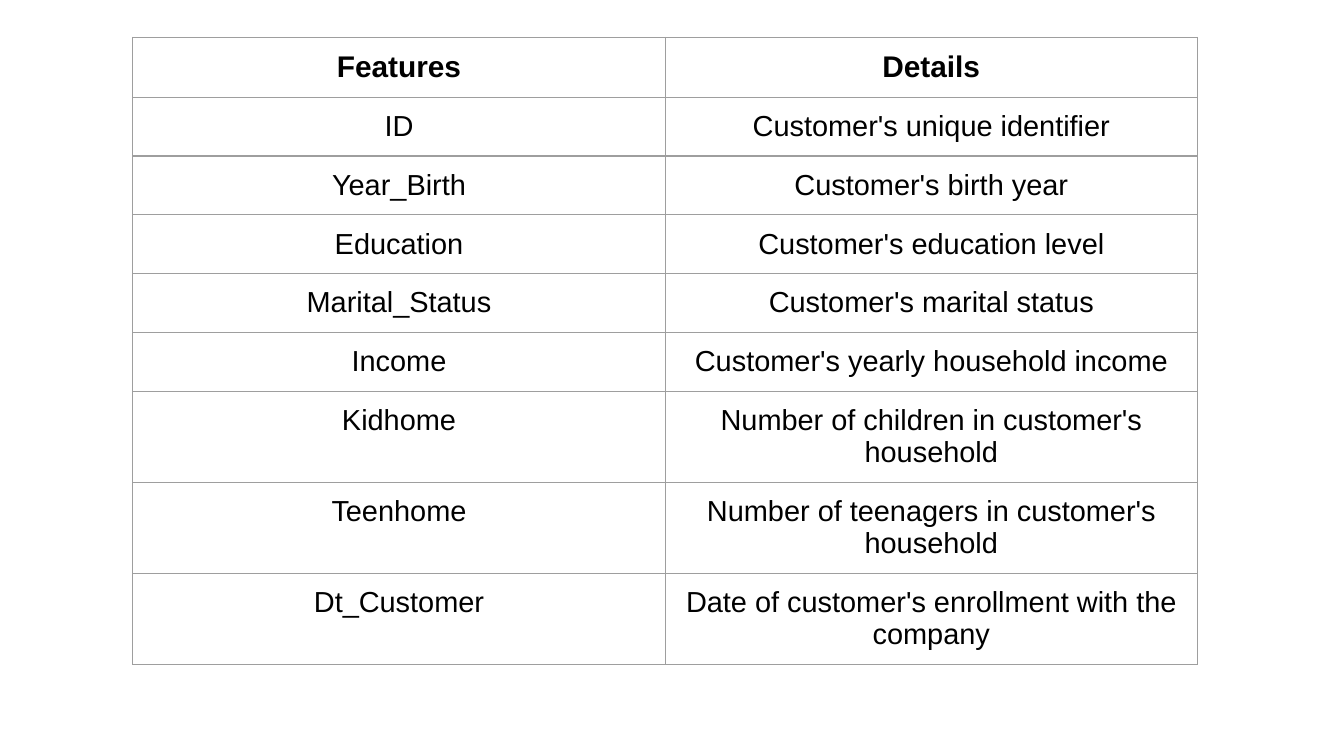
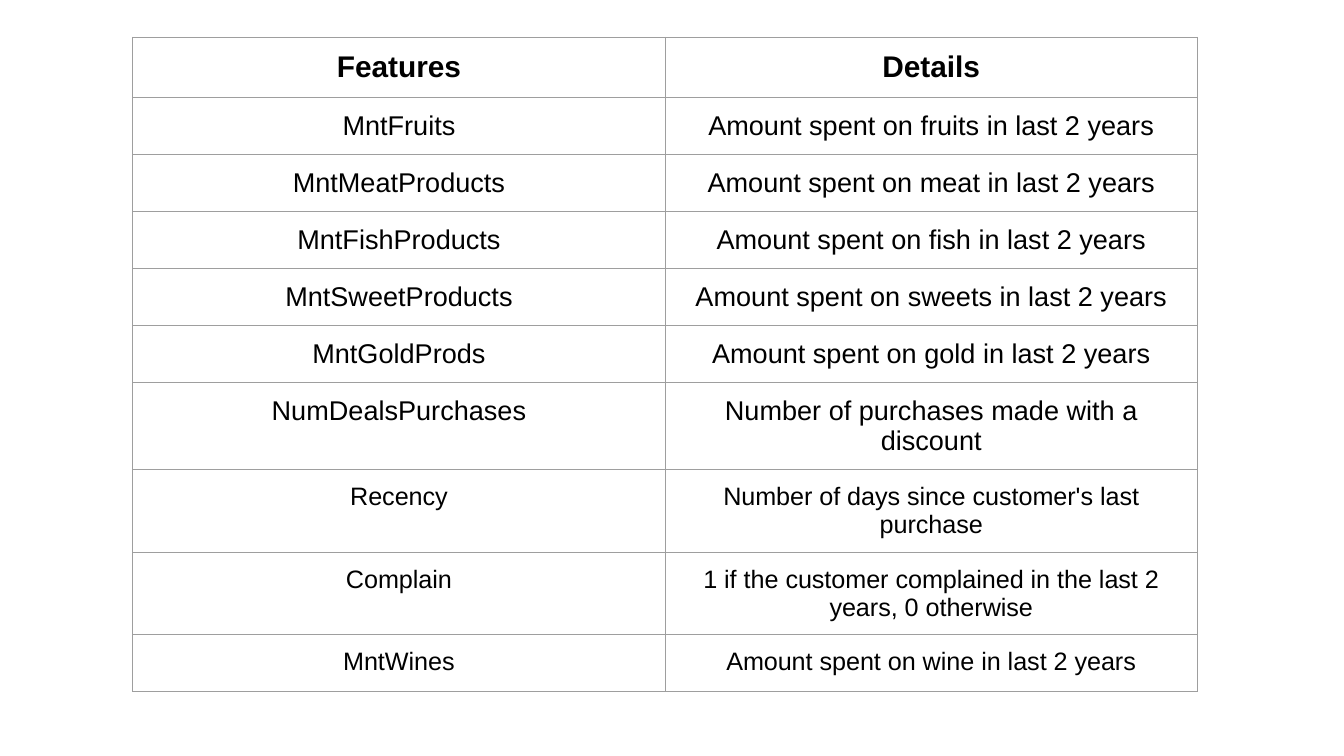
"""Build two slides of tables that list customer features and their details."""
import dataclasses

import lxml.etree
import pptx
import pptx.dml.color
import pptx.enum.text
import pptx.oxml.ns
import pptx.util

Cm = pptx.util.Cm
Pt = pptx.util.Pt


@dataclasses.dataclass(frozen=True)
class Theme:
    font: str = "Arial"
    ink: str = "000000"
    rule: str = "9E9E9E"
    line: float = 0.75
    head: float = 16
    large: float = 15.5
    mid: float = 14.5
    small: float = 13.5


THEME = Theme()


def write(frame, text, size=THEME.large, bold=False, color=THEME.ink):
    para = frame.paragraphs[0]
    para.alignment = pptx.enum.text.PP_ALIGN.CENTER
    run = para.add_run()
    run.text = text
    font = run.font
    font.name = THEME.font
    font.size = Pt(size)
    font.bold = bold
    font.color.rgb = pptx.dml.color.RGBColor.from_string(color)


class Deck:
    def __init__(self, theme):
        self.theme = theme
        self.show = pptx.Presentation()
        self.show.slide_width = Cm(25.4)
        self.show.slide_height = Cm(14.29)
        self.slide = None

    def page(self):
        blank = self.show.slide_layouts[6]
        self.slide = self.show.slides.add_slide(blank)

    def frame(self, cell):
        props = cell._tc.get_or_add_tcPr()
        name = pptx.oxml.ns.qn
        for spot, side in enumerate(("lnL", "lnR", "lnT", "lnB")):
            line = lxml.etree.Element(name(f"a:{side}"), w=str(Pt(self.theme.line)))
            fill = lxml.etree.SubElement(line, name("a:solidFill"))
            lxml.etree.SubElement(fill, name("a:srgbClr"), val=self.theme.rule)
            props.insert(spot, line)

    def cell(self, cell, text, size, bold):
        cell.fill.background()
        cell.margin_left = cell.margin_right = Cm(0.25)
        cell.margin_top = cell.margin_bottom = Cm(0.25)
        self.frame(cell)
        write(cell.text_frame, text, size=size, bold=bold)

    def table(self, bands, heights):
        rows = [(("Features", "Details"), self.theme.head, True)]
        rows += [(pair, size, False) for size, pairs in bands for pair in pairs]
        width = 10.06
        shape = self.slide.shapes.add_table(
            len(rows), 2, Cm(2.51), Cm(0.71), Cm(2 * width), Cm(sum(heights)))
        table = shape.table
        table.first_row = table.horz_banding = False
        for column in table.columns:
            column.width = Cm(width)
        for row, height, (pair, size, bold) in zip(table.rows, heights, rows):
            row.height = Cm(height)
            for cell, text in zip(row.cells, pair):
                self.cell(cell, text, size, bold)


PEOPLE = [
    (THEME.large, [
        ("ID", "Customer's unique identifier"),
        ("Year_Birth", "Customer's birth year"),
        ("Education", "Customer's education level"),
        ("Marital_Status", "Customer's marital status"),
        ("Income", "Customer's yearly household income"),
        ("Kidhome", "Number of children in customer's household"),
        ("Teenhome", "Number of teenagers in customer's household"),
        ("Dt_Customer", "Date of customer's enrollment with the company"),
    ]),
]

SPENDING = [
    (THEME.mid, [
        ("MntFruits", "Amount spent on fruits in last 2 years"),
        ("MntMeatProducts", "Amount spent on meat in last 2 years"),
        ("MntFishProducts", "Amount spent on fish in last 2 years"),
        ("MntSweetProducts", "Amount spent on sweets in last 2 years"),
        ("MntGoldProds", "Amount spent on gold in last 2 years"),
        ("NumDealsPurchases", "Number of purchases made with a discount"),
    ]),
    (THEME.small, [
        ("Recency", "Number of days since customer's last purchase"),
        ("Complain",
         "1 if the customer complained in the last 2 years, 0 otherwise"),
        ("MntWines", "Amount spent on wine in last 2 years"),
    ]),
]

deck = Deck(THEME)
deck.page()
deck.table(PEOPLE, [0.89, 1.02, 1.09] + [0.89] * 3 + [1.4] * 3)
deck.page()
deck.table(SPENDING, [1.07] * 10)
deck.show.save("out.pptx")
